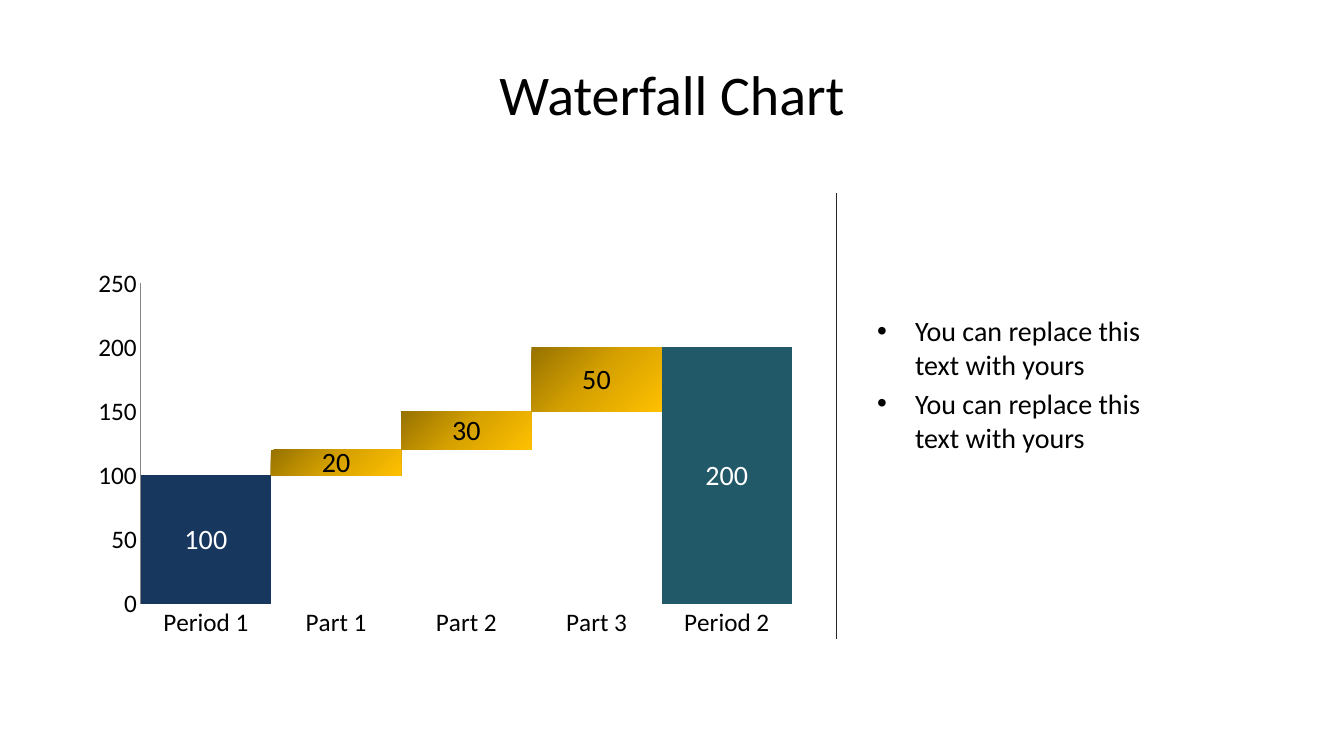
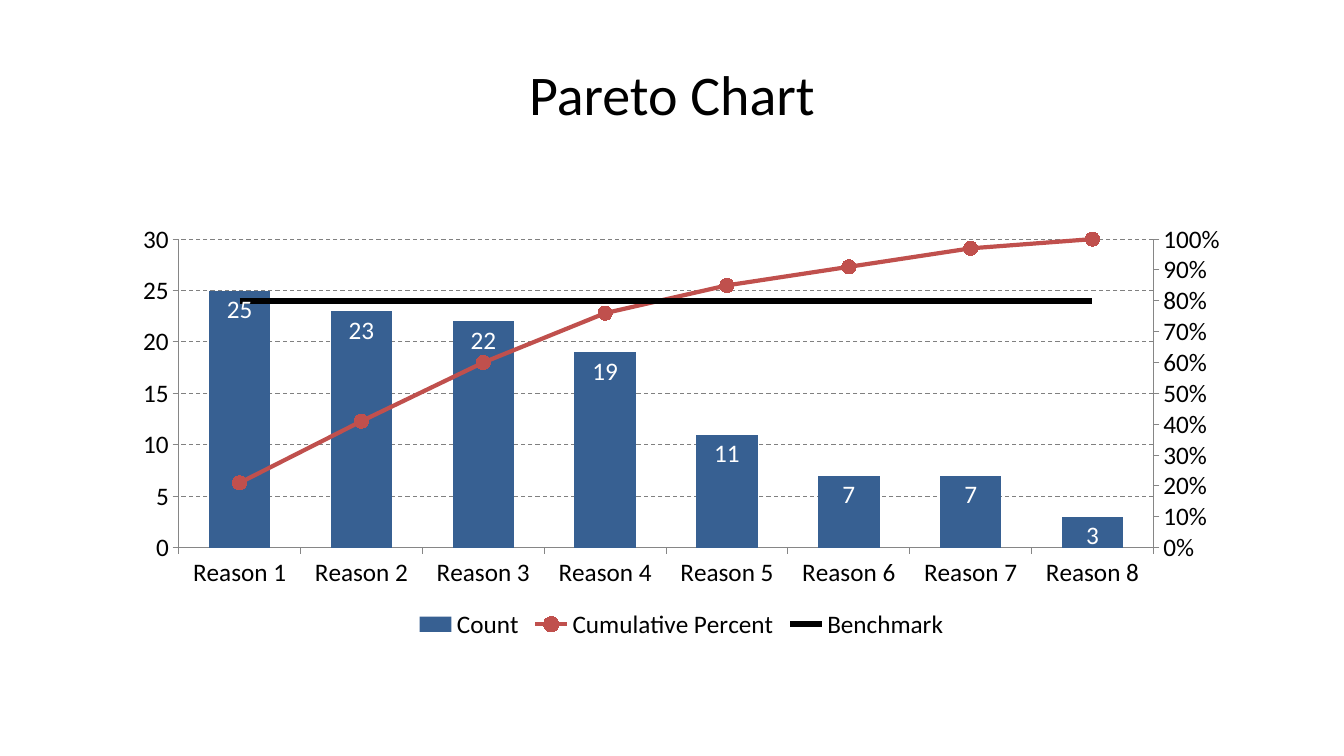
"""Build a waterfall chart slide and a Pareto chart slide."""
import copy
from dataclasses import dataclass

import pptx
import pptx.chart.axis
import pptx.chart.chart
import pptx.chart.data
import pptx.dml.color
import pptx.enum.chart
import pptx.enum.dml
import pptx.enum.shapes
import pptx.enum.text
import pptx.oxml
import pptx.oxml.ns
import pptx.slide
import pptx.text.text
import pptx.util

Color = pptx.dml.color.RGBColor
Pt = pptx.util.Pt
qn = pptx.oxml.ns.qn
ChartType = pptx.enum.chart.XL_CHART_TYPE
Tick = pptx.enum.chart.XL_TICK_MARK

PX = 9525
FONT = "Calibri"
BLACK = Color(0x00, 0x00, 0x00)
WHITE = Color(0xFF, 0xFF, 0xFF)
NAVY = Color(0x17, 0x37, 0x5E)
TEAL = Color(0x21, 0x59, 0x68)
GOLD_DARK = Color(0x97, 0x72, 0x00)
GOLD_MIDDLE = Color(0xD7, 0xA2, 0x00)
GOLD = Color(0xFF, 0xC0, 0x00)
BLUE = Color(0x37, 0x60, 0x92)
RED = Color(0xC0, 0x50, 0x4D)
DIVIDER = Color(0x26, 0x26, 0x26)
GRID = Color(0x80, 0x80, 0x80)
AXIS = Color(0x86, 0x86, 0x86)


@dataclass(frozen=True)
class Area:
    """A rectangle in px."""
    left: int
    top: int
    width: int
    height: int

    def emu(self) -> tuple[int, int, int, int]:
        """Return the rectangle in EMU."""
        return self.left * PX, self.top * PX, self.width * PX, self.height * PX


@dataclass(frozen=True)
class Step:
    """One column of the waterfall."""
    name: str
    base: int
    rise: int
    color: Color = WHITE


@dataclass(frozen=True)
class Curve:
    """One line of the Pareto chart."""
    name: str
    values: tuple[float, ...]
    color: Color
    width: float
    marked: bool


TITLE_AREA = Area(64, 29, 1152, 120)
STEPS = (
    Step("Period 1", 100, 0, NAVY),
    Step("Part 1", 100, 20),
    Step("Part 2", 120, 30),
    Step("Part 3", 150, 50),
    Step("Period 2", 200, 0, TEAL),
)
BULLETS = ("You can replace this text with yours",) * 2
COUNTS = (25, 23, 22, 19, 11, 7, 7, 3)
CURVES = (
    Curve("Cumulative Percent", (0.21, 0.41, 0.6, 0.76, 0.85, 0.91, 0.97, 1), RED, 3, True),
    Curve("Benchmark", (0.8,) * len(COUNTS), BLACK, 4.5, False),
)


def style_font(font: pptx.text.text.Font, size: float, color: Color = BLACK) -> None:
    """Set the deck font, its size and its colour."""
    font.name = FONT
    font.size = Pt(size)
    font.color.rgb = color


def add_text(slide: pptx.slide.Slide, area: Area) -> pptx.text.text.TextFrame:
    """Add a wrapping text box."""
    frame = slide.shapes.add_textbox(*area.emu()).text_frame
    frame.word_wrap = True
    return frame


def add_run(para, text: str, size: float) -> None:
    """Add one styled run."""
    span = para.add_run()
    span.text = text
    style_font(span.font, size)


def add_page(deck, title: str) -> pptx.slide.Slide:
    """Add a blank page with the shared title."""
    page = deck.slides.add_slide(deck.slide_layouts[6])
    frame = add_text(page, TITLE_AREA)
    frame.vertical_anchor = pptx.enum.text.MSO_ANCHOR.MIDDLE
    para = frame.paragraphs[0]
    para.alignment = pptx.enum.text.PP_ALIGN.CENTER
    add_run(para, title, 40)
    return page


def add_chart(page: pptx.slide.Slide, kind: ChartType, area: Area, data) -> pptx.chart.chart.Chart:
    """Add a chart with the shared text style."""
    chart = page.shapes.add_chart(kind, *area.emu(), data).chart
    chart.has_title = False
    chart.has_legend = False
    style_font(chart.font, 18)
    chart.plots[0].vary_by_categories = False
    return chart


def style_axis(axis, tick: Tick) -> None:
    """Set the axis line and tick marks and drop the grid."""
    axis.has_major_gridlines = False
    axis.major_tick_mark = tick
    axis.minor_tick_mark = Tick.NONE
    axis.format.line.color.rgb = AXIS
    axis.format.line.width = Pt(0.75)


def add_bullets(page: pptx.slide.Slide, area: Area) -> None:
    """Add the bulleted list."""
    frame = add_text(page, area)
    for index, text in enumerate(BULLETS):
        para = frame.paragraphs[0] if index == 0 else frame.add_paragraph()
        properties = para._p.get_or_add_pPr()
        properties.set("marL", str(36 * PX))
        properties.set("indent", str(-36 * PX))
        for tag, name, value in (("a:buFont", "typeface", "Arial"), ("a:buChar", "char", "•")):
            properties.append(properties.makeelement(qn(tag), {name: value}))
        if index:
            para.space_before = Pt(4)
        add_run(para, text, 20)


def add_divider(page: pptx.slide.Slide, x: int, top: int, bottom: int) -> None:
    """Add a thin vertical line."""
    line = page.shapes.add_connector(
        pptx.enum.shapes.MSO_CONNECTOR.STRAIGHT, x * PX, top * PX, x * PX, bottom * PX)
    line.line.color.rgb = DIVIDER
    line.line.width = Pt(0.75)
    properties = line._element.spPr
    properties.append(properties.makeelement(qn("a:effectLst"), {}))


def fill_gold(point) -> None:
    """Give a chart point the diagonal gold gradient."""
    fill = point.format.fill
    fill.gradient()
    fill.gradient_angle = 315
    for stop, color in zip(fill.gradient_stops, (GOLD_DARK, GOLD)):
        stop.color.rgb = color


def add_middle_stops(chart: pptx.chart.chart.Chart) -> None:
    """Put the middle gold halfway along each gradient."""
    for stops in chart.element.xpath(".//a:gsLst"):
        middle = copy.deepcopy(stops[0])
        middle.set("pos", "50000")
        middle[0].set("val", str(GOLD_MIDDLE))
        stops.insert(1, middle)


def build_waterfall(deck) -> None:
    """Build the waterfall page."""
    page = add_page(deck, "Waterfall Chart")
    data = pptx.chart.data.CategoryChartData()
    data.categories = [step.name for step in STEPS]
    data.add_series("Series 1", [step.base for step in STEPS])
    data.add_series("Series 2", [step.rise for step in STEPS])
    chart = add_chart(page, ChartType.COLUMN_STACKED, Area(80, 248, 688, 367), data)
    plot = chart.plots[0]
    plot.gap_width = 0
    plot.overlap = 100
    for axis in (chart.category_axis, chart.value_axis):
        style_axis(axis, Tick.NONE)
    bases, rises = plot.series
    for series in (bases, rises):
        series.data_labels.show_value = False
    for index, step in enumerate(STEPS):
        fill = bases.points[index].format.fill
        fill.solid()
        fill.fore_color.rgb = step.color
        if step.rise:
            fill_gold(rises.points[index])
        series, color = (rises, BLACK) if step.rise else (bases, WHITE)
        style_font(series.points[index].data_label.font, 20, color)
    add_middle_stops(chart)
    add_bullets(page, Area(826, 294, 272, 167))
    add_divider(page, 797, 184, 609)


def add_right_axis(chart: pptx.chart.chart.Chart) -> None:
    """Move the curves to a line plot on a percentage axis."""
    bars = chart.element.xpath(".//c:barChart")[0]
    lines = pptx.oxml.parse_xml(
        f'<c:lineChart {pptx.oxml.ns.nsdecls("c")}><c:grouping val="standard"/>'
        '<c:varyColors val="0"/><c:marker val="1"/>'
        '<c:axId val="5001"/><c:axId val="5002"/></c:lineChart>')
    for series in bars.findall(qn("c:ser"))[1:]:
        for flag in series.findall(qn("c:invertIfNegative")):
            series.remove(flag)
        lines.find(qn("c:marker")).addprevious(series)
    bars.addnext(lines)
    left = chart.element.xpath(".//c:valAx")[0]
    right = copy.deepcopy(left)
    hidden = copy.deepcopy(chart.element.xpath(".//c:catAx")[0])
    left.addnext(right)
    right.addnext(hidden)
    for element, own, other in ((hidden, "5001", "5002"), (right, "5002", "5001")):
        element.find(qn("c:axId")).set("val", own)
        element.find(qn("c:crossAx")).set("val", other)
    right.find(qn("c:axPos")).set("val", "r")
    right.find(qn("c:crosses")).set("val", "max")
    pptx.chart.axis.CategoryAxis(hidden).visible = False
    axis = pptx.chart.axis.ValueAxis(right)
    style_axis(axis, Tick.OUTSIDE)
    axis.minimum_scale, axis.maximum_scale, axis.major_unit = 0, 1, 0.1
    axis.tick_labels.number_format = "0%"
    axis.tick_labels.number_format_is_linked = False


def style_curve(series, curve: Curve) -> None:
    """Set the line and markers of a curve."""
    series.smooth = False
    series.format.line.color.rgb = curve.color
    series.format.line.width = Pt(curve.width)
    marker = series.marker
    if not curve.marked:
        marker.style = pptx.enum.chart.XL_MARKER_STYLE.NONE
        return
    marker.style = pptx.enum.chart.XL_MARKER_STYLE.CIRCLE
    marker.size = 10
    marker.format.fill.solid()
    marker.format.fill.fore_color.rgb = curve.color
    marker.format.line.color.rgb = curve.color


def build_pareto(deck) -> None:
    """Build the Pareto page."""
    page = add_page(deck, "Pareto Chart")
    data = pptx.chart.data.CategoryChartData()
    data.categories = [f"Reason {number}" for number in range(1, len(COUNTS) + 1)]
    data.add_series("Count", COUNTS)
    for curve in CURVES:
        data.add_series(curve.name, curve.values, "0%")
    chart = add_chart(page, ChartType.COLUMN_CLUSTERED, Area(115, 205, 1068, 409), data)
    left = chart.value_axis
    add_right_axis(chart)
    for axis in (chart.category_axis, left):
        style_axis(axis, Tick.OUTSIDE)
    left.minimum_scale, left.maximum_scale, left.major_unit = 0, 30, 5
    grid = left.major_gridlines.format.line
    grid.color.rgb = GRID
    grid.width = Pt(0.75)
    grid.dash_style = pptx.enum.dml.MSO_LINE.DASH
    bars, lines = chart.plots
    bars.gap_width = 98
    counts = bars.series[0]
    counts.format.fill.solid()
    counts.format.fill.fore_color.rgb = BLUE
    labels = counts.data_labels
    labels.show_value = True
    labels.position = pptx.enum.chart.XL_LABEL_POSITION.INSIDE_END
    style_font(labels.font, 18, WHITE)
    for series, curve in zip(lines.series, CURVES):
        style_curve(series, curve)
    chart.has_legend = True
    chart.legend.position = pptx.enum.chart.XL_LEGEND_POSITION.BOTTOM
    chart.legend.include_in_layout = False


def main() -> None:
    """Build and save the deck."""
    deck = pptx.Presentation()
    deck.slide_width, deck.slide_height = 1280 * PX, 720 * PX
    build_waterfall(deck)
    build_pareto(deck)
    deck.save("out.pptx")


if __name__ == "__main__":
    main()
